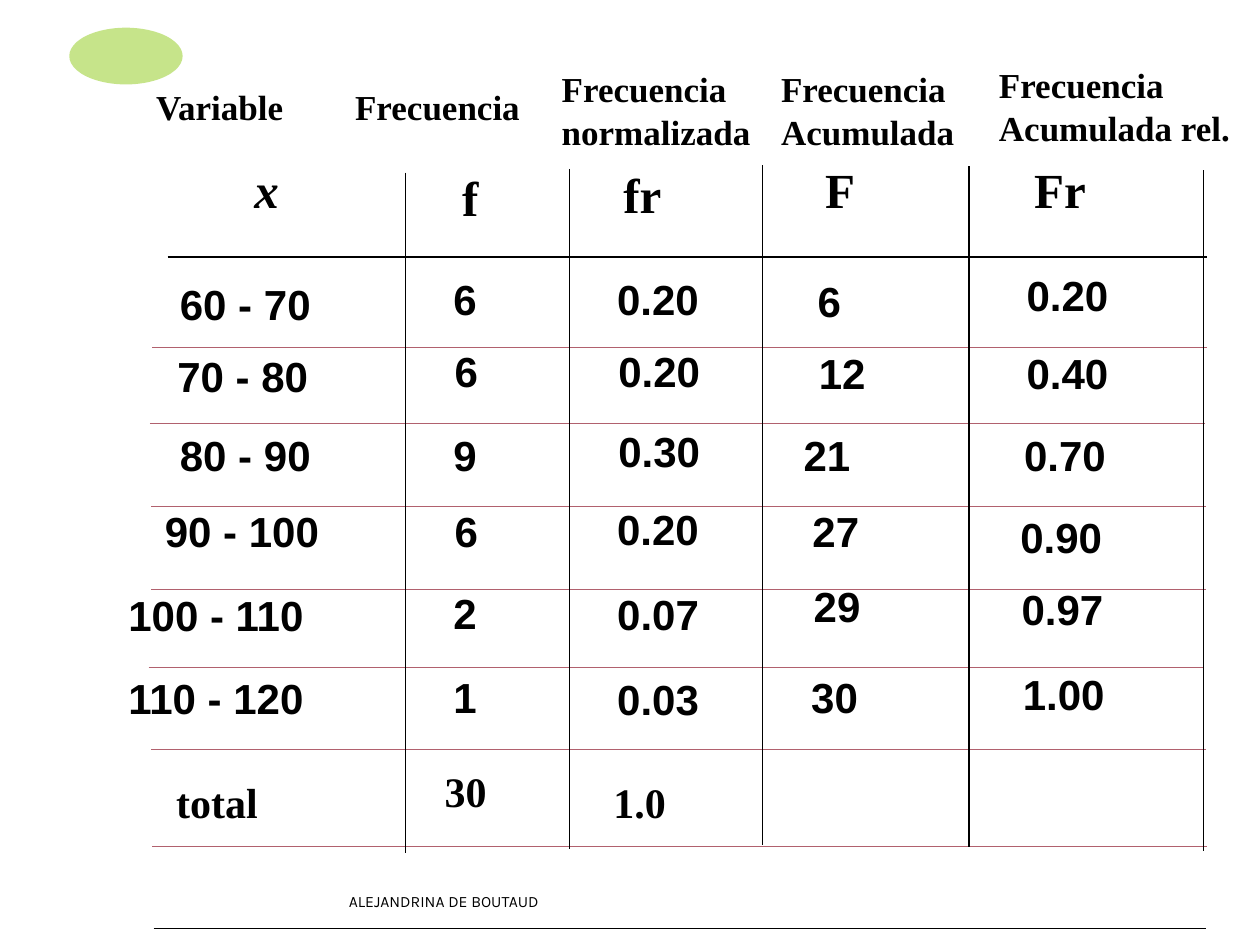
import pptx
import pptx.dml.color
import pptx.enum.shapes
import pptx.enum.text
import pptx.oxml.ns
import pptx.util
from lxml import etree

Inches = pptx.util.Inches
Pt = pptx.util.Pt
BLACK, ROSE, LIME = "000000", "B1616E", "8FCB17"


def color(code):
    return pptx.dml.color.RGBColor.from_string(code)


class Page:
    """Holds the text styles and the current slide."""

    styles = {
        "head": {"name": "Times New Roman", "size": Pt(20), "bold": True},
        "sign": {"name": "Times New Roman", "size": Pt(28), "bold": True},
        "var": {"name": "Times New Roman", "size": Pt(28), "bold": True, "italic": True},
        "data": {"name": "Arial", "size": Pt(24), "bold": True},
        "total": {"name": "Times New Roman", "size": Pt(24), "bold": True},
        "foot": {"name": "Karla", "size": Pt(9)},
    }

    def __init__(self, slide):
        self.slide = slide

    def text(self, words, left, top, width, height, style, wrap=True, grow=True):
        box = self.slide.shapes.add_textbox(
            Inches(left), Inches(top), Inches(width), Inches(height))
        frame = box.text_frame
        frame.word_wrap = wrap
        if grow:
            frame.auto_size = pptx.enum.text.MSO_AUTO_SIZE.SHAPE_TO_FIT_TEXT
        else:
            frame.vertical_anchor = pptx.enum.text.MSO_ANCHOR.MIDDLE
        frame.text = words
        for i, para in enumerate(frame.paragraphs):
            if len(frame.paragraphs) > 1:
                para.line_spacing = 0.5
            if i:
                para.space_before = Pt(12.5)
            for run in para.runs:
                for key, value in self.styles[style].items():
                    setattr(run.font, key, value)
                run.font.color.rgb = color(BLACK)

    def line(self, x1, y1, x2, y2, shade=BLACK):
        rule = self.slide.shapes.add_connector(
            pptx.enum.shapes.MSO_CONNECTOR.STRAIGHT,
            Inches(x1), Inches(y1), Inches(x2), Inches(y2))
        rule.line.color.rgb = color(shade)
        rule.line.width = Pt(0.75)
        etree.SubElement(rule._element.spPr, pptx.oxml.ns.qn("a:effectLst"))

    def oval(self, left, top, width, height, shade, alpha):
        oval = self.slide.shapes.add_shape(
            pptx.enum.shapes.MSO_SHAPE.OVAL,
            Inches(left), Inches(top), Inches(width), Inches(height))
        oval.shadow.inherit = False
        oval.fill.solid()
        oval.fill.fore_color.rgb = color(shade)
        oval.line.fill.background()
        tint = oval._element.spPr.find(".//" + pptx.oxml.ns.qn("a:srgbClr"))
        etree.SubElement(tint, pptx.oxml.ns.qn("a:alpha"), val=str(alpha * 1000))


# Column titles: words, left, top, width, height
HEADS = [
    ("Variable", 1.14, 0.63, 1.26, 0.44),
    ("Frecuencia", 2.72, 0.63, 1.54, 0.44),
    ("Frecuencia\nnormalizada", 4.36, 0.63, 1.73, 0.61),
    ("Frecuencia\nAcumulada", 6.1, 0.63, 1.61, 0.61),
    ("Frecuencia\nAcumulada rel.", 7.83, 0.6, 2.07, 0.61),
]

# Symbols: words, left, top, width, style
SIGNS = [
    ("x", 1.92, 1.22, 0.94, "var"),
    ("f", 3.57, 1.28, 0.59, "sign"),
    ("fr", 4.85, 1.26, 0.94, "sign"),
    ("F", 6.45, 1.22, 0.59, "sign"),
    ("Fr", 8.11, 1.22, 0.94, "sign"),
]

# Data by column: words, left, top, width
DATA = [
    # x
    ("60 - 70", 1.33, 2.16, 1.77), ("70 - 80", 1.31, 2.73, 1.77),
    ("80 - 90", 1.33, 3.36, 1.77), ("90 - 100", 1.21, 3.96, 2.12),
    ("100 - 110", 0.92, 4.63, 2.32), ("110 - 120", 0.92, 5.29, 2.32),
    # f
    ("6", 3.5, 2.12, 0.59), ("6", 3.51, 2.69, 0.59), ("9", 3.5, 3.36, 0.59),
    ("6", 3.51, 3.96, 0.59), ("2", 3.5, 4.61, 0.59), ("1", 3.5, 5.28, 0.59),
    # fr
    ("0.20", 4.8, 2.12, 0.94), ("0.20", 4.81, 2.69, 0.94), ("0.30", 4.81, 3.33, 1.3),
    ("0.20", 4.8, 3.95, 0.94), ("0.07", 4.8, 4.62, 1.25), ("0.03", 4.8, 5.3, 1.25),
    # F
    ("6", 6.39, 2.14, 0.59), ("12", 6.4, 2.71, 0.94), ("21", 6.28, 3.36, 0.94),
    ("27", 6.35, 3.96, 0.94), ("29", 6.36, 4.56, 0.94), ("30", 6.34, 5.28, 0.94),
    # Fr
    ("0.20", 8.05, 2.09, 0.94), ("0.40", 8.05, 2.71, 0.94), ("0.70", 8.03, 3.36, 1.41),
    ("0.90", 8, 4.01, 1.41), ("0.97", 8.01, 4.58, 1.41), ("1.00", 8.02, 5.26, 1.41),
]

# Totals: words, left, top, width, wrap
TOTALS = [
    ("total", 1.3, 6.11, 1.34, True),
    ("30", 3.43, 6.03, 0.87, True),
    ("1.0", 4.77, 6.11, 0.66, False),
]

# Rules: left and height of each row, left and top of each column
ROWS = [(1.21, 2.76), (1.19, 3.36), (1.2, 4.02), (1.2, 4.68),
        (1.18, 5.3), (1.2, 5.95), (1.21, 6.72)]
COLS = [(3.22, 1.37), (4.52, 1.34), (6.05, 1.31), (7.69, 1.32), (9.55, 1.35)]
WIDE, TALL = 8.37, 5.4


def main():
    deck = pptx.Presentation()
    deck.slide_width, deck.slide_height = Inches(10), Inches(7.5)
    page = Page(deck.slides.add_slide(deck.slide_layouts[6]))

    # Ornament and footer
    page.oval(0.55, 0.22, 0.9, 0.45, LIME, 50)
    page.text("ALEJANDRINA DE BOUTAUD", 2.67, 6.95, 3.17, 0.4, "foot", grow=False)

    # Grid
    page.line(1.33, 2.04, 9.58, 2.04)
    for x, y in ROWS:
        page.line(x, y, x + WIDE, y, ROSE)
    for x, y in COLS:
        page.line(x, y, x, y + TALL)
    page.line(1.22, 7.37, 9.57, 7.37)

    # Titles and symbols
    for words, x, y, wide, high in HEADS:
        page.text(words, x, y, wide, high, "head", wrap=False)
    for words, x, y, wide, style in SIGNS:
        page.text(words, x, y, wide, 0.57, style)

    # Values and totals
    for words, x, y, wide in DATA:
        page.text(words, x, y, wide, 0.5, "data")
    for words, x, y, wide, wrap in TOTALS:
        page.text(words, x, y, wide, 0.5, "total", wrap)

    deck.save("out.pptx")


if __name__ == "__main__":
    main()
